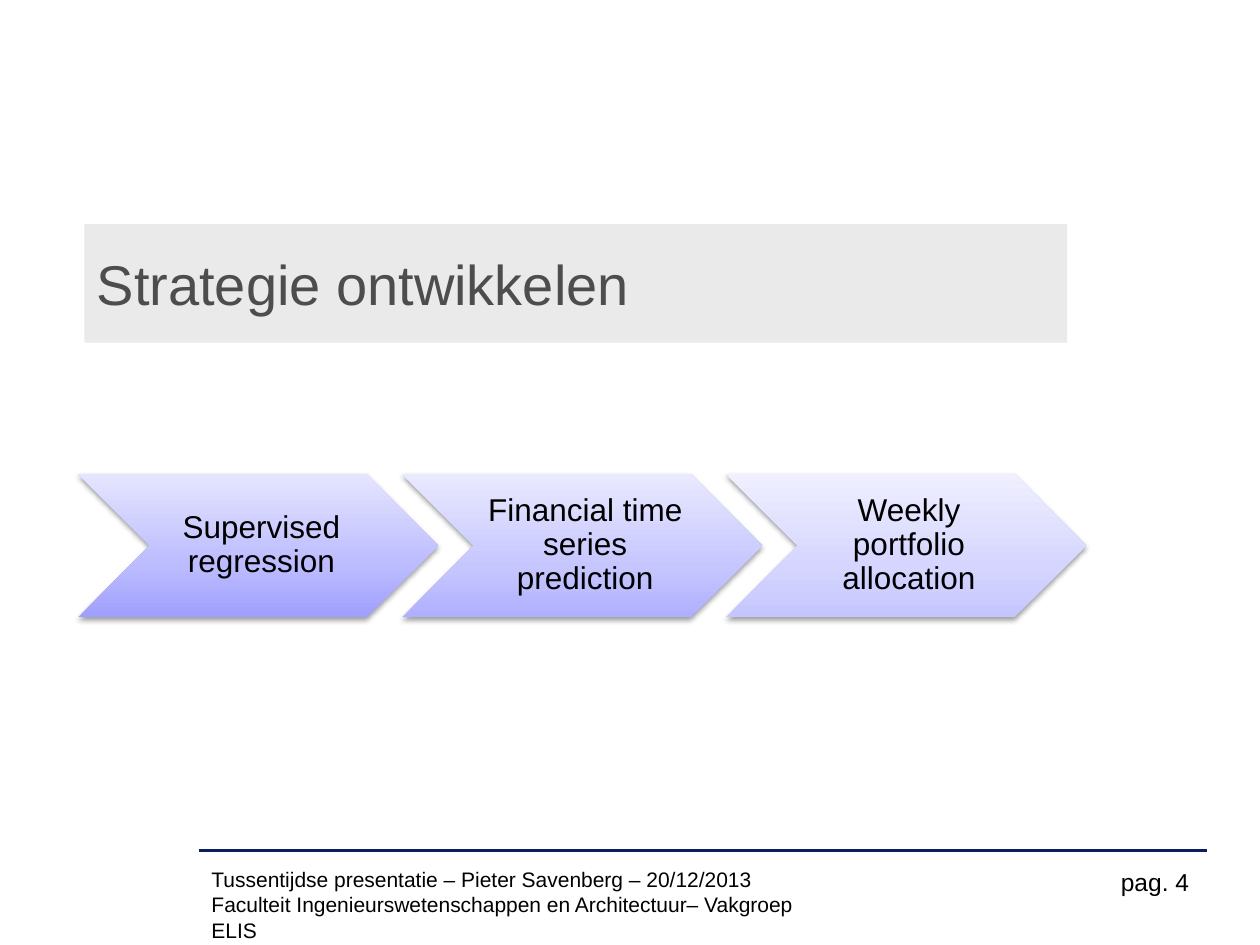
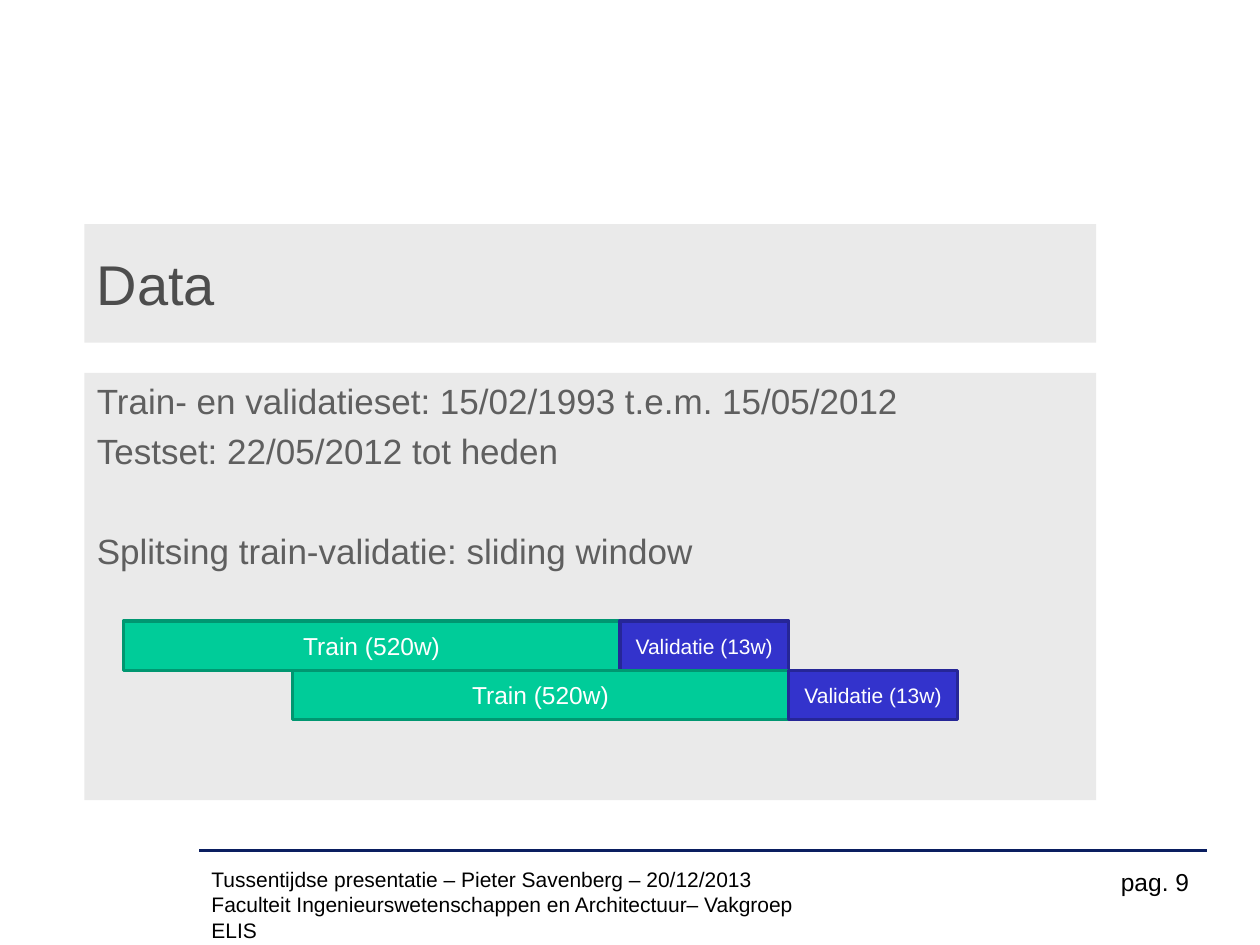
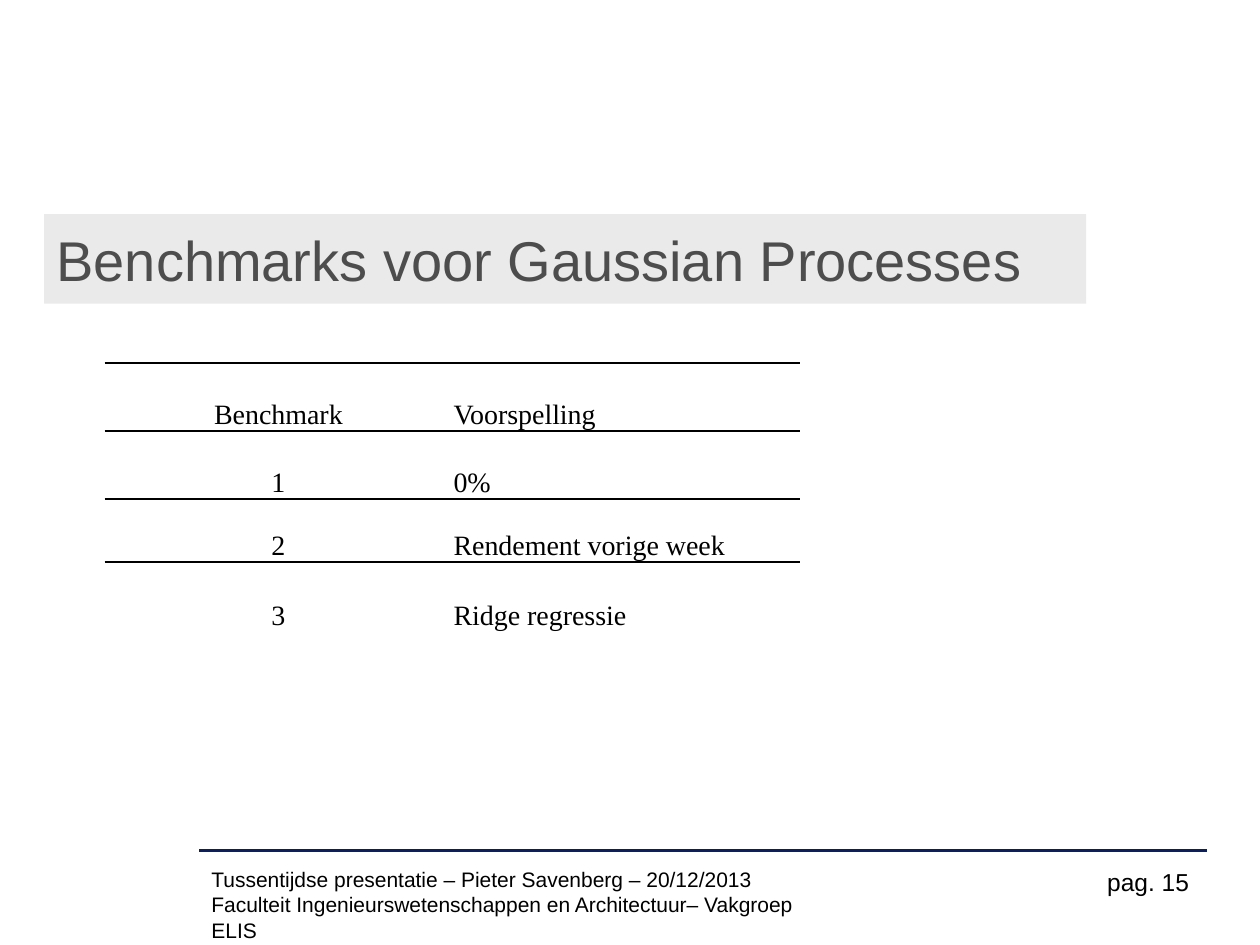
from lxml.etree import SubElement
from pptx import Presentation
from pptx.dml.color import RGBColor as RGB
from pptx.enum.shapes import MSO_CONNECTOR, MSO_SHAPE as SHAPE
from pptx.enum.text import MSO_ANCHOR as ANCHOR, PP_ALIGN as ALIGN
from pptx.oxml.ns import qn
from pptx.util import Inches, Pt

WIDTH, HEIGHT = 10, 7.5
FONT, SERIF = "Arial", "Times New Roman"
BLACK, WHITE = RGB(0, 0, 0), RGB(255, 255, 255)
NAVY = RGB(0x0A, 0x1E, 0x60)
BAND = RGB(0xEA, 0xEA, 0xEA)
DARK, GREY = RGB(0x4D, 0x4D, 0x4D), RGB(0x5F, 0x5F, 0x5F)
GREEN, PINE = RGB(0x00, 0xCC, 0x99), RGB(0x00, 0x97, 0x71)
BLUE, INDIGO = RGB(0x33, 0x33, 0xCC), RGB(0x26, 0x26, 0x97)
NO_STYLE = "{2D5ABB26-0587-4C30-8999-92F81FD0307C}"

FOOTER = ("Tussentijdse presentatie – Pieter Savenberg – 20/12/2013",
          "Faculteit Ingenieurswetenschappen en Architectuur– Vakgroep ELIS")
FOOT_LEFT, FOOT_RIGHT, RULE_TOP, FOOT_TOP = 1.58, 9.58, 6.75, 6.83

# label, then colours from the bottom up
STEPS = [
    ("Supervised regression", ("9F9FFF", "BBBBFF", "E5E5FF")),
    ("Financial time series prediction", ("AFAFFF", "C6C6FF", "E9E9FF")),
    ("Weekly portfolio allocation", ("C5C5FF", "D5D5FF", "EFEFFF")),
]
STOPS = (0, 35, 100)

# text, points above it
FACTS = [
    ("Train- en validatieset: 15/02/1993 t.e.m. 15/05/2012", 5),
    ("Testset: 22/05/2012 tot heden", 5),
    ("Splitsing train-validatie: sliding window", 33),
]
# label, width, text size, fill, line
PARTS = [
    ("Train (520w)", 3.94, 14, GREEN, PINE),
    ("Validatie (13w)", 1.34, 12, BLUE, INDIGO),
]
WINDOWS = 2

ROWS = [
    ("Benchmark", "Voorspelling"),
    ("1", "0%"),
    ("2", "Rendement vorige week"),
    ("3", "Ridge regressie"),
]
ROW_TALL = (0.54, 0.54, 0.5, 0.55)
COL_WIDE = 2.76
RULED = 2  # rows with a line above and below


def write(para, text, size, color, font=FONT, align=ALIGN.LEFT):
    para.alignment = align
    run = para.add_run()
    run.text = text
    run.font.size, run.font.name = Pt(size), font
    run.font.color.rgb = color


def box(slide, kind, at, fill=None, line=None):
    shape = slide.shapes.add_shape(kind, *map(Inches, at))
    shape.shadow.inherit = False
    if fill is not None:
        shape.fill.solid()
        shape.fill.fore_color.rgb = fill
    if line is None:
        shape.line.fill.background()
    else:
        shape.line.color.rgb = line
        shape.line.width = Pt(2)
    shape.text_frame.word_wrap = True
    shape.text_frame.vertical_anchor = ANCHOR.MIDDLE
    return shape


def note(slide, at):
    frame = slide.shapes.add_textbox(*map(Inches, at)).text_frame
    frame.word_wrap = True
    return frame.paragraphs[0]


def base(deck, title, at, page, foot_wide=5.15):
    """Add a slide with its title band, rule and footer."""
    slide = deck.slides.add_slide(deck.slide_layouts[6])
    rule = slide.shapes.add_connector(
        MSO_CONNECTOR.STRAIGHT, Inches(FOOT_LEFT), Inches(RULE_TOP),
        Inches(FOOT_RIGHT), Inches(RULE_TOP))
    rule.line.color.rgb, rule.line.width = NAVY, Pt(1.5)
    SubElement(rule.element.spPr, qn("a:effectLst"))
    band = box(slide, SHAPE.RECTANGLE, at, BAND)
    write(band.text_frame.paragraphs[0], title, 32, DARK)
    para = note(slide, (FOOT_LEFT, FOOT_TOP, foot_wide, 0.5))
    write(para, FOOTER[0], 12, BLACK)
    para.add_line_break()
    write(para, FOOTER[1], 12, BLACK)
    write(note(slide, (7.17, FOOT_TOP, 2.42, 0.5)), f"pag. {page} ", 14, BLACK,
          align=ALIGN.RIGHT)
    return slide


def shade(shape, colors):
    """Give a shape an upward gradient and a soft shadow."""
    shape.fill.gradient()
    shape.fill.gradient_angle = 90
    props = shape.element.spPr
    stops = props.find(qn("a:gradFill")).find(qn("a:gsLst"))
    for old in list(stops):
        stops.remove(old)
    for pos, color in zip(STOPS, colors):
        stop = SubElement(stops, qn("a:gs"), pos=str(pos * 1000))
        SubElement(stop, qn("a:srgbClr"), val=color)
    cast = SubElement(props.find(qn("a:effectLst")), qn("a:outerShdw"),
                      blurRad=str(Pt(3.1)), dist=str(Pt(1.6)), dir="5400000",
                      rotWithShape="0")
    tint = SubElement(cast, qn("a:srgbClr"), val="000000")
    SubElement(tint, qn("a:alpha"), val="38000")


def strategy(deck):
    slide = base(deck, "Strategie ontwikkelen", (0.67, 1.78, 7.8, 0.94), 4)
    for i, (text, colors) in enumerate(STEPS):
        step = box(slide, SHAPE.CHEVRON, (0.62 + i * 2.57, 3.76, 2.86, 1.14))
        shade(step, colors)
        frame = step.text_frame
        frame.margin_left = Inches(0.08)
        frame.margin_right = frame.margin_top = frame.margin_bottom = Inches(0.03)
        para = frame.paragraphs[0]
        para.line_spacing = 0.9
        write(para, text, 18, BLACK, align=ALIGN.CENTER)


def data(deck):
    left, wide = 0.67, 8.03
    slide = base(deck, "Data", (left, 1.78, wide, 0.94), 9)
    frame = box(slide, SHAPE.RECTANGLE, (left, 2.96, wide, 3.39), BAND).text_frame
    frame.vertical_anchor = ANCHOR.TOP
    for i, (text, gap) in enumerate(FACTS):
        para = frame.add_paragraph() if i else frame.paragraphs[0]
        para.space_before = Pt(gap)
        write(para, text, 20, GREY)
    tall, shift = 0.39, PARTS[-1][1]
    for row in range(WINDOWS):
        x = 0.98 + row * shift
        for text, span, size, fill, line in PARTS:
            bar = box(slide, SHAPE.RECTANGLE, (x, 4.93 + row * tall, span, tall),
                      fill, line)
            write(bar.text_frame.paragraphs[0], text, size, WHITE,
                  align=ALIGN.CENTER)
            x += span


def edge(cell, side):
    line = SubElement(cell._tc.get_or_add_tcPr(), qn("a:ln" + side),
                      w=str(Pt(1)))
    fill = SubElement(line, qn("a:solidFill"))
    SubElement(fill, qn("a:srgbClr"), val="000000")


def benchmarks(deck):
    slide = base(deck, "Benchmarks voor Gaussian Processes",
                 (0.35, 1.7, 8.27, 0.71), 15, 5)
    at = (0.83, 2.88, COL_WIDE * 2, sum(ROW_TALL))
    grid = slide.shapes.add_table(len(ROWS), 2, *map(Inches, at)).table
    grid.first_row = grid.horz_banding = False
    grid._tbl.tblPr.find(qn("a:tableStyleId")).text = NO_STYLE
    for col in grid.columns:
        col.width = Inches(COL_WIDE)
    for r, (texts, tall) in enumerate(zip(ROWS, ROW_TALL)):
        grid.rows[r].height = Inches(tall)
        for c, text in enumerate(texts):
            cell = grid.cell(r, c)
            cell.margin_left = cell.margin_right = cell.margin_top = Inches(0.01)
            cell.margin_bottom = 0
            cell.vertical_anchor = ANCHOR.BOTTOM
            if r <= RULED:
                edge(cell, "T")
            if r < RULED:
                edge(cell, "B")
            cell.fill.background()
            write(cell.text_frame.paragraphs[0], text, 16, BLACK, SERIF,
                  ALIGN.LEFT if c else ALIGN.CENTER)


def main():
    deck = Presentation()
    deck.slide_width, deck.slide_height = Inches(WIDTH), Inches(HEIGHT)
    strategy(deck)
    data(deck)
    benchmarks(deck)
    deck.save("out.pptx")


if __name__ == "__main__":
    main()
